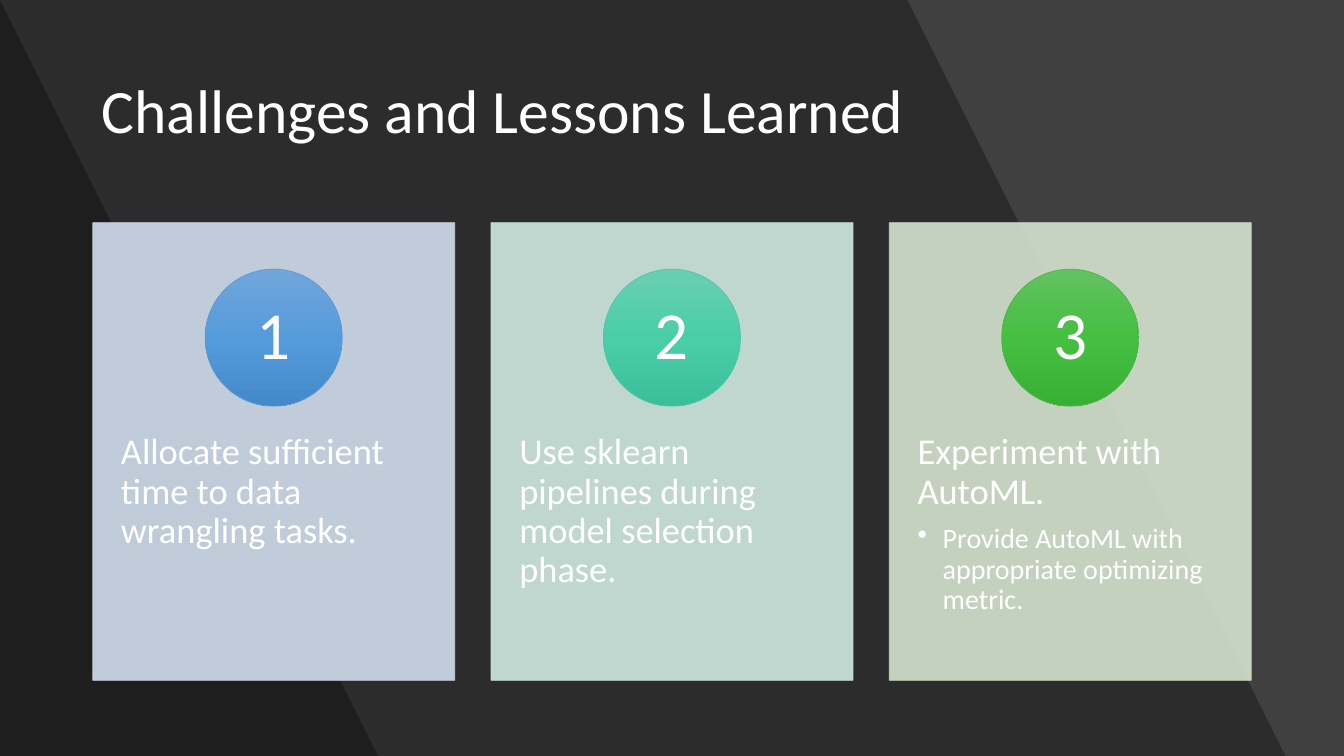
from copy import deepcopy
from pptx import Presentation, util as u
from pptx.dml.color import RGBColor
from pptx.enum import shapes, text
from pptx.oxml.ns import qn
from lxml import etree

WHITE = RGBColor(255, 255, 255)
BLACK = RGBColor(0, 0, 0)
BACKGROUND = RGBColor(0x40, 0x40, 0x40)
FONT = "Calibri"

TITLE = "Challenges and Lessons Learned"
LESSONS = [
    ("Allocate sufficient time to data wrangling tasks.", [],
     "D2DEEF", ("71A6DB", "559BDB", "448ACA"), "5B9BD5"),
    ("Use sklearn pipelines during model selection phase.", [],
     "D0EAE1", ("69CFB1", "4ACEAA", "3BBE9A"), "50C8A7"),
    ("Experiment with AutoML.",
     ["Provide AutoML with appropriate optimizing metric."],
     "D5E3CF", ("64C162", "44BF41", "37B034"), "4ABA46"),
]
BANDS = [(9.42, 12.89), (0.44, 3.92)]

LEFT, TOP, CARD_W, CARD_H, PITCH = 0.92, 2.21, 3.59, 4.54, 3.95
CIRCLE, CIRCLE_TOP = 1.36, 2.67
NUMBER = 0.96


def set_alpha(sp, percent):
    for color in sp._element.spPr.iter(qn("a:srgbClr")):
        etree.SubElement(color, qn("a:alpha")).set("val", str(percent * 1000))


def add_shape(kind, box, line_color):
    sp = s.shapes.add_shape(kind, *map(u.Inches, box))
    sp.shadow.inherit = False
    sp.line.color.rgb = RGBColor.from_string(line_color)
    sp.line.width = u.Pt(0.5)
    return sp


def add_text(box, paragraphs, insets, anchor, align=text.PP_ALIGN.LEFT):
    tf = s.shapes.add_textbox(*map(u.Inches, box)).text_frame
    tf.word_wrap = True
    tf.vertical_anchor = anchor
    tf.margin_left = tf.margin_right = u.Inches(insets[0])
    tf.margin_top = tf.margin_bottom = u.Inches(insets[1])
    for i, (words, size, space) in enumerate(paragraphs):
        p = tf.add_paragraph() if i else tf.paragraphs[0]
        p.text = words
        p.alignment = align
        p.line_spacing = 0.9
        p.space_after = u.Pt(space)
        font = p.runs[0].font
        font.name, font.size, font.color.rgb = FONT, u.Pt(size), WHITE
    return tf


def add_bullet(p):
    p.level = 1
    pPr = p._p.get_or_add_pPr()
    pPr.set("marL", str(u.Inches(0.25)))
    pPr.set("indent", str(-u.Inches(0.25)))
    etree.SubElement(pPr, qn("a:buChar")).set("char", "•")


def fill_gradient(sp, colors):
    sp.fill.gradient()
    sp.fill.gradient_angle = 270
    stops = sp._element.spPr.find(".//" + qn("a:gsLst"))
    stops.append(deepcopy(stops[-1]))
    for i, (stop, color) in enumerate(zip(sp.fill.gradient_stops, colors)):
        stop.position = i / 2
        stop.color.rgb = RGBColor.from_string(color)


prs = Presentation()
prs.slide_width, prs.slide_height = u.Inches(13.33), u.Inches(7.5)
s = prs.slides.add_slide(prs.slide_layouts[6])
s.background.fill.solid()
s.background.fill.fore_color.rgb = BACKGROUND

for top_x, bottom_x in BANDS:
    builder = s.shapes.build_freeform(0, 0, scale=u.Inches(1))
    builder.add_line_segments([(top_x, 0), (bottom_x, 7.5), (0, 7.5)], close=True)
    band = builder.convert_to_shape()
    band.shadow.inherit = False
    band.fill.solid()
    band.fill.fore_color.rgb = BLACK
    band.line.fill.background()
    set_alpha(band, 30)

MIDDLE = text.MSO_ANCHOR.MIDDLE
add_text((0.91, 0.4, 11.51, 1.45), [(TITLE, 44, 0)], (0.1, 0.05), MIDDLE)

for i, (lesson, details, card_color, gradient, outline) in enumerate(LESSONS):
    x = LEFT + i * PITCH
    card = add_shape(shapes.MSO_SHAPE.RECTANGLE, (x, TOP, CARD_W, CARD_H), card_color)
    card.fill.solid()
    card.fill.fore_color.rgb = RGBColor.from_string(card_color)
    set_alpha(card, 90)

    tf = add_text((x, 3.94, CARD_W, 2.73),
                  [(lesson, 26, 9)] + [(detail, 20, 3) for detail in details],
                  (0.28, 0.36), text.MSO_ANCHOR.TOP)
    for p in tf.paragraphs[1:]:
        add_bullet(p)

    circle_x = x + (CARD_W - CIRCLE) / 2
    circle = add_shape(shapes.MSO_SHAPE.OVAL,
                       (circle_x, CIRCLE_TOP, CIRCLE, CIRCLE), outline)
    fill_gradient(circle, gradient)
    inset = (CIRCLE - NUMBER) / 2
    add_text((circle_x + inset, CIRCLE_TOP + inset, NUMBER, NUMBER),
             [(str(i + 1), 48, 0)], (0.11, 0.01), MIDDLE, text.PP_ALIGN.CENTER)

prs.save("out.pptx")
